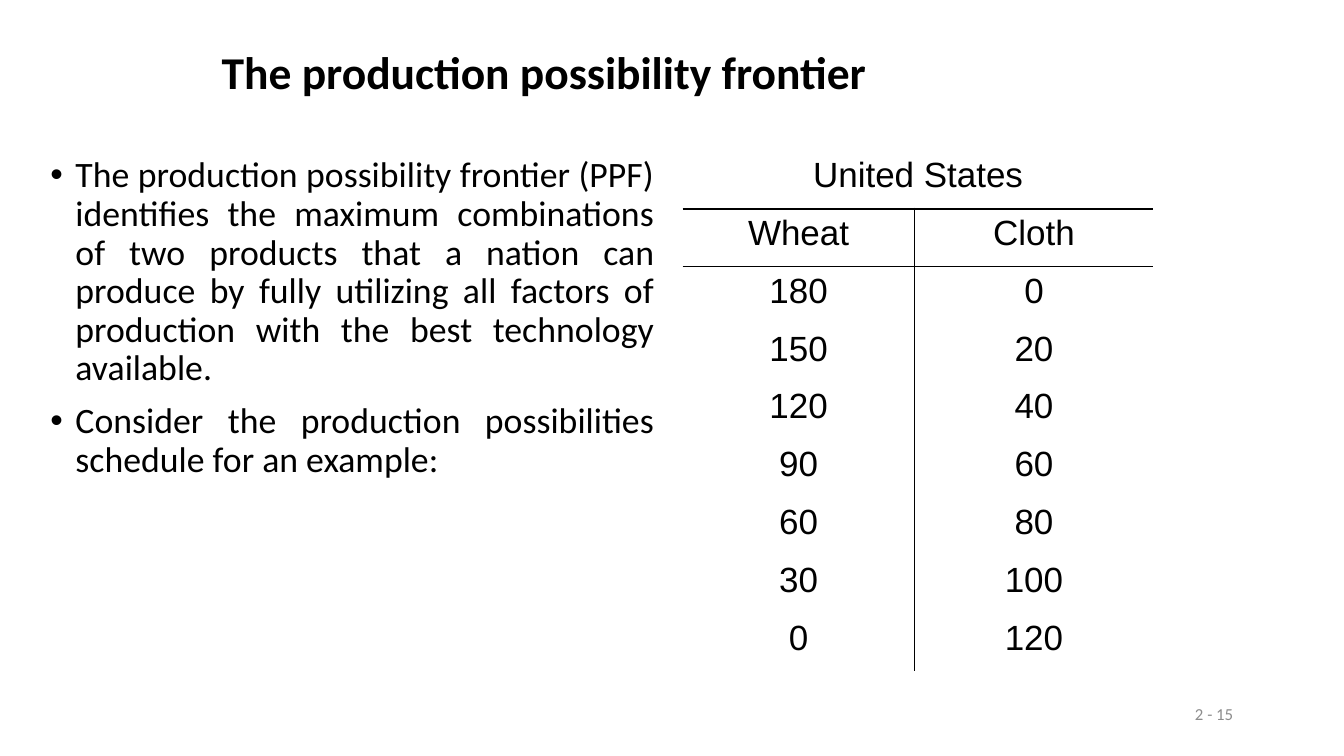
from dataclasses import dataclass

import pptx
import pptx.dml.color
import pptx.enum.text
import pptx.oxml
import pptx.oxml.ns
import pptx.util

PX = 9144  # EMU per px, 100 px to the inch
COLORS = {"ink": "000000", "muted": "8C8C8C"}
NO_STYLE = "{2D5ABB26-0587-4C30-8999-92F81FD0307C}"
ALIGN = pptx.enum.text.PP_ALIGN
ANCHOR = pptx.enum.text.MSO_ANCHOR


@dataclass(frozen=True)
class Box:
    left: int
    top: int
    width: int
    height: int

    def emu(self) -> tuple[int, ...]:
        return tuple(n * PX for n in (self.left, self.top, self.width, self.height))


@dataclass(frozen=True)
class TextBlock:
    box: Box
    lines: tuple[str, ...]
    size: float
    align: ALIGN
    anchor: ANCHOR
    color: str = "ink"
    bold: bool = False
    bulleted: bool = False
    line_spacing: float = 1.0


TEXT_BLOCKS = (
    TextBlock(Box(955, 683, 278, 50), ("2 - 15",), 12, ALIGN.RIGHT, ANCHOR.MIDDLE, color="muted"),
    TextBlock(Box(210, 34, 1101, 81), ("The production possibility frontier",), 32.5,
              ALIGN.LEFT, ANCHOR.MIDDLE, bold=True, line_spacing=0.9),
    TextBlock(Box(40, 151, 619, 516), (
        "The production possibility frontier (PPF) identifies the maximum combinations of two "
        "products that a nation can produce by fully utilizing all factors of production with "
        "the best technology available.",
        "Consider the production possibilities schedule for an example:",
    ), 25.5, ALIGN.JUSTIFY, ANCHOR.TOP, bulleted=True, line_spacing=0.9),
)

SCHEDULE_BOX = Box(677, 150, 467, 516)
SCHEDULE_COLUMNS = (230, 237)
SCHEDULE = [("United States", ""), ("Wheat", "Cloth")] + [
    (str(180 - 30 * step), str(20 * step)) for step in range(7)
]


def style_runs(paragraph, font_name: str, size: float, color: str, bold: bool = False) -> None:
    for run in paragraph.runs:
        run.font.name = font_name
        run.font.size = pptx.util.Pt(size)
        run.font.bold = bold
        run.font.color.rgb = pptx.dml.color.RGBColor.from_string(COLORS[color])


def add_bullet(paragraph, indent: int) -> None:
    properties = paragraph._p.get_or_add_pPr()
    properties.set("marL", str(indent * PX))
    properties.set("indent", str(-indent * PX))
    for tag, attribute, value in (("buFont", "typeface", "Arial"), ("buChar", "char", "•")):
        properties.append(pptx.oxml.parse_xml(
            f'<a:{tag} {pptx.oxml.ns.nsdecls("a")} {attribute}="{value}"/>'))


def draw_text(slide, block: TextBlock) -> None:
    frame = slide.shapes.add_textbox(*block.box.emu()).text_frame
    frame.word_wrap = True
    frame.vertical_anchor = block.anchor
    frame.text = "\n".join(block.lines)
    for paragraph in frame.paragraphs:
        paragraph.alignment = block.align
        paragraph.line_spacing = block.line_spacing
        style_runs(paragraph, "Calibri", block.size, block.color, block.bold)
        if block.bulleted:
            paragraph.space_before = pptx.util.Pt(10)
            add_bullet(paragraph, 25)


def set_borders(cell, widths: dict[str, float]) -> None:
    """Draw the given sides (L, R, T, B) in points and clear the others."""
    properties = cell._tc.get_or_add_tcPr()
    for position, side in enumerate("LRTB"):
        width = widths.get(side, 0)
        paint = (f'<a:solidFill><a:srgbClr val="{COLORS["ink"]}"/></a:solidFill>'
                 if width else "<a:noFill/>")
        properties.insert(position, pptx.oxml.parse_xml(
            f'<a:ln{side} {pptx.oxml.ns.nsdecls("a")} w="{pptx.util.Pt(width)}">{paint}</a:ln{side}>'))


def schedule_borders(row: int, column: int) -> dict[str, float]:
    rules = {1: 2.25, 2: 1}  # rule above each of these rows
    widths = {"T": rules.get(row, 0), "B": rules.get(row + 1, 0)}
    if row > 0:
        widths["R" if column == 0 else "L"] = 1
    return widths


def draw_schedule(slide) -> None:
    table = slide.shapes.add_table(
        len(SCHEDULE), len(SCHEDULE_COLUMNS), *SCHEDULE_BOX.emu()).table
    table.first_row = table.horz_banding = False
    table._tbl.tblPr.find(pptx.oxml.ns.qn("a:tableStyleId")).text = NO_STYLE
    for column, width in zip(table.columns, SCHEDULE_COLUMNS):
        column.width = width * PX
    for row, values in enumerate(SCHEDULE):
        for column, value in enumerate(values):
            cell = table.cell(row, column)
            cell.fill.background()
            set_borders(cell, schedule_borders(row, column))
            cell.text_frame.text = value
            paragraph = cell.text_frame.paragraphs[0]
            paragraph.alignment = ALIGN.CENTER
            style_runs(paragraph, "Arial", 25, "ink")
    table.cell(0, 0).merge(table.cell(0, 1))


def main() -> None:
    presentation = pptx.Presentation()
    presentation.slide_width = 1333 * PX
    presentation.slide_height = 750 * PX
    slide = presentation.slides.add_slide(presentation.slide_layouts[6])

    # Page number, title and bullets
    for block in TEXT_BLOCKS:
        draw_text(slide, block)

    # Production possibilities schedule
    draw_schedule(slide)

    presentation.save("out.pptx")


if __name__ == "__main__":
    main()
